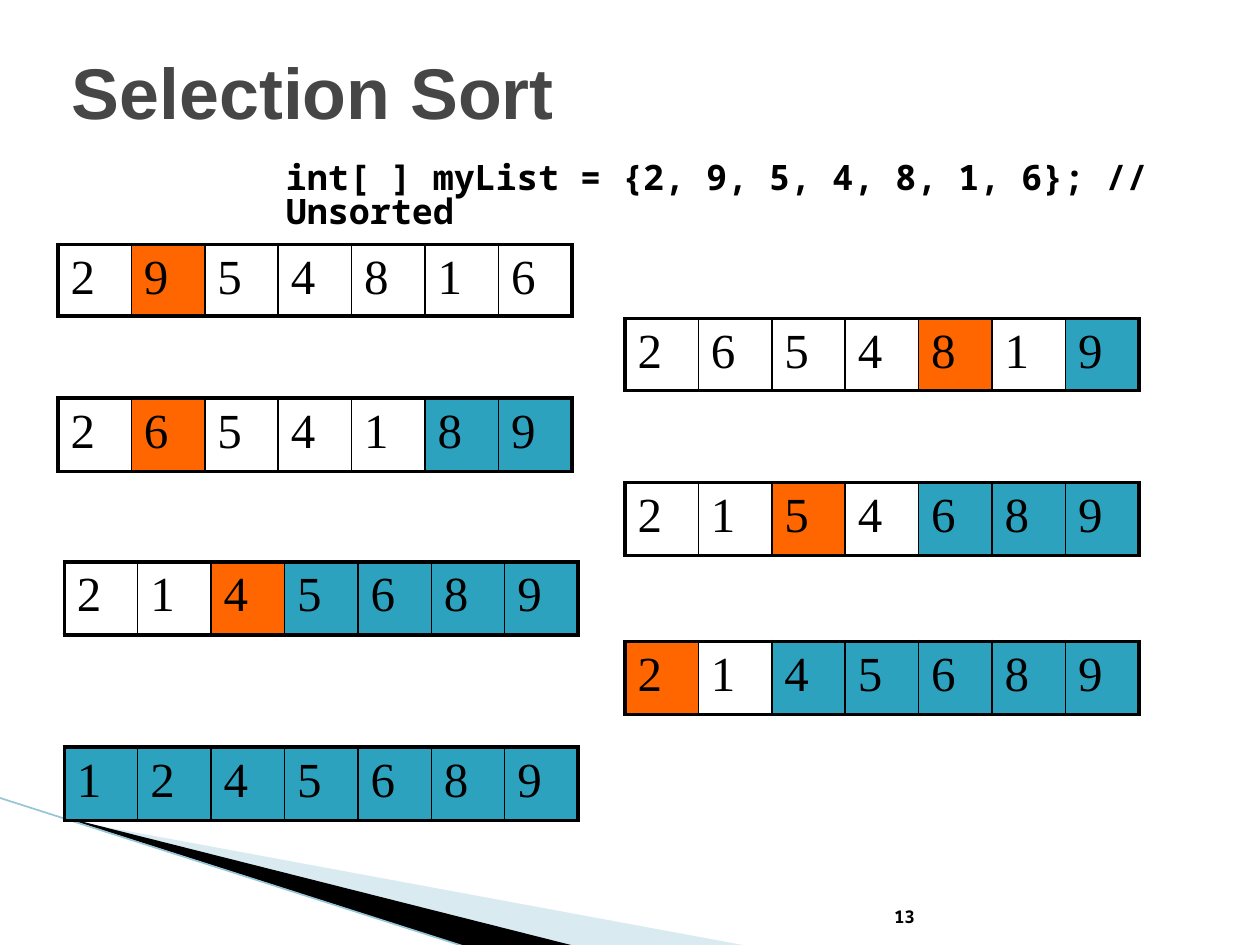
from lxml.etree import SubElement
from pptx import Presentation
from pptx.dml.color import RGBColor
from pptx.enum.shapes import MSO_CONNECTOR as CONNECTOR
from pptx.enum.text import MSO_ANCHOR as ANCHOR, PP_ALIGN as ALIGN
from pptx.oxml.ns import qn
from pptx.util import Inches, Pt

BLACK, PIVOT, SORTED = "000000", "FF6600", "2DA2BF"


def color(hex_string):
    return RGBColor.from_string(hex_string)


def write(shape, text, font_name, size, hex_string, bold, anchor, align):
    frame = shape.text_frame
    frame.word_wrap = True
    frame.vertical_anchor = anchor
    frame.text = text
    paragraph = frame.paragraphs[0]
    paragraph.alignment = align
    paragraph.font.name = font_name
    paragraph.font.size = Pt(size)
    paragraph.font.bold = bold
    paragraph.font.color.rgb = color(hex_string)
    return paragraph


presentation = Presentation()
presentation.slide_width = Inches(10)
presentation.slide_height = Inches(7.5)
slide = presentation.slides.add_slide(presentation.slide_layouts[5])
shapes = slide.shapes

wedges = [
    ([(0.55, 6.51), (5.95, 7.51), (4.56, 7.51), (0.55, 6.5)], "A0CBDC", 40),
    ([(0.53, 6.49), (4.57, 7.51), (3.72, 7.52), (0.54, 6.5)], BLACK, 100),
]
for points, fill_color, opacity in wedges:
    corners = [(Inches(x), Inches(y)) for x, y in points]
    builder = shapes.build_freeform(*corners[0])
    builder.add_line_segments(corners[1:], close=True)
    wedge = builder.convert_to_shape()
    wedge.shadow.inherit = False
    wedge.line.fill.background()
    wedge.fill.solid()
    wedge.fill.fore_color.rgb = color(fill_color)
    if opacity < 100:
        fill_element = wedge.fill._xPr.find(qn("a:solidFill"))
        SubElement(fill_element[0], qn("a:alpha"), val=str(opacity * 1000))

edge = shapes.add_connector(
    CONNECTOR.STRAIGHT, Inches(-0.01), Inches(6.33), Inches(3.71), Inches(7.52))
edge.line.color.rgb = color("97C5D8")
edge.line.width = Pt(0.95)
SubElement(edge._element.spPr, qn("a:effectLst"))

title = shapes.title
title.left, title.top = Inches(0.47), Inches(0.31)
title.width, title.height = Inches(8.5), Inches(0.83)
write(title, "Selection Sort", "Arial", 41, "464646", True, ANCHOR.MIDDLE, ALIGN.LEFT)

number_box = shapes.add_textbox(Inches(4.79), Inches(7.01), Inches(2.57), Inches(0.4))
write(number_box, "13", "Noto Sans Mono", 10, BLACK, True, ANCHOR.BOTTOM, ALIGN.RIGHT)

code_box = shapes.add_textbox(Inches(2.17), Inches(1.25), Inches(7.14), Inches(0.5))
code = write(code_box, "int[ ] myList = {2, 9, 5, 4, 8, 1, 6}; // Unsorted",
             "Noto Sans Mono", 20, BLACK, True, ANCHOR.TOP, ALIGN.LEFT)
code.line_spacing = 0.8

passes = [
    (0.46, 1.94, 0.48, "2954816", 1),
    (4.96, 2.53, 0.5, "2654819", 4),
    (0.46, 3.16, 0.58, "2654189", 1),
    (4.96, 3.83, 0.58, "2154689", 2),
    (0.51, 4.46, 0.58, "2145689", 2),
    (4.96, 5.09, 0.58, "2145689", 0),
    (0.51, 5.93, 0.58, "1245689", None),
]
for pass_index, (left, top, height, digits, pivot) in enumerate(passes):
    count = len(digits)
    sorted_from = count - pass_index if pivot is not None else 0
    table = shapes.add_table(1, count, Inches(left), Inches(top),
                             Inches(4.08), Inches(height)).table
    table.first_row = False
    table.horz_banding = False
    for column, digit in enumerate(digits):
        cell = table.cell(0, column)
        write(cell, digit, "Times New Roman", 28, BLACK, False, ANCHOR.TOP, ALIGN.LEFT)
        borders = {
            "a:lnL": 2.25 if column == 0 else 1,
            "a:lnR": 2.25 if column == count - 1 else 1,
            "a:lnT": 2.25,
            "a:lnB": 2.25,
        }
        properties = cell._tc.get_or_add_tcPr()
        for tag, width in borders.items():
            border = SubElement(properties, qn(tag), w=str(Pt(width)))
            border_fill = SubElement(border, qn("a:solidFill"))
            SubElement(border_fill, qn("a:srgbClr"), val=BLACK)
        if column == pivot or column >= sorted_from:
            cell.fill.solid()
            cell.fill.fore_color.rgb = color(PIVOT if column == pivot else SORTED)
        else:
            cell.fill.background()

presentation.save("out.pptx")
